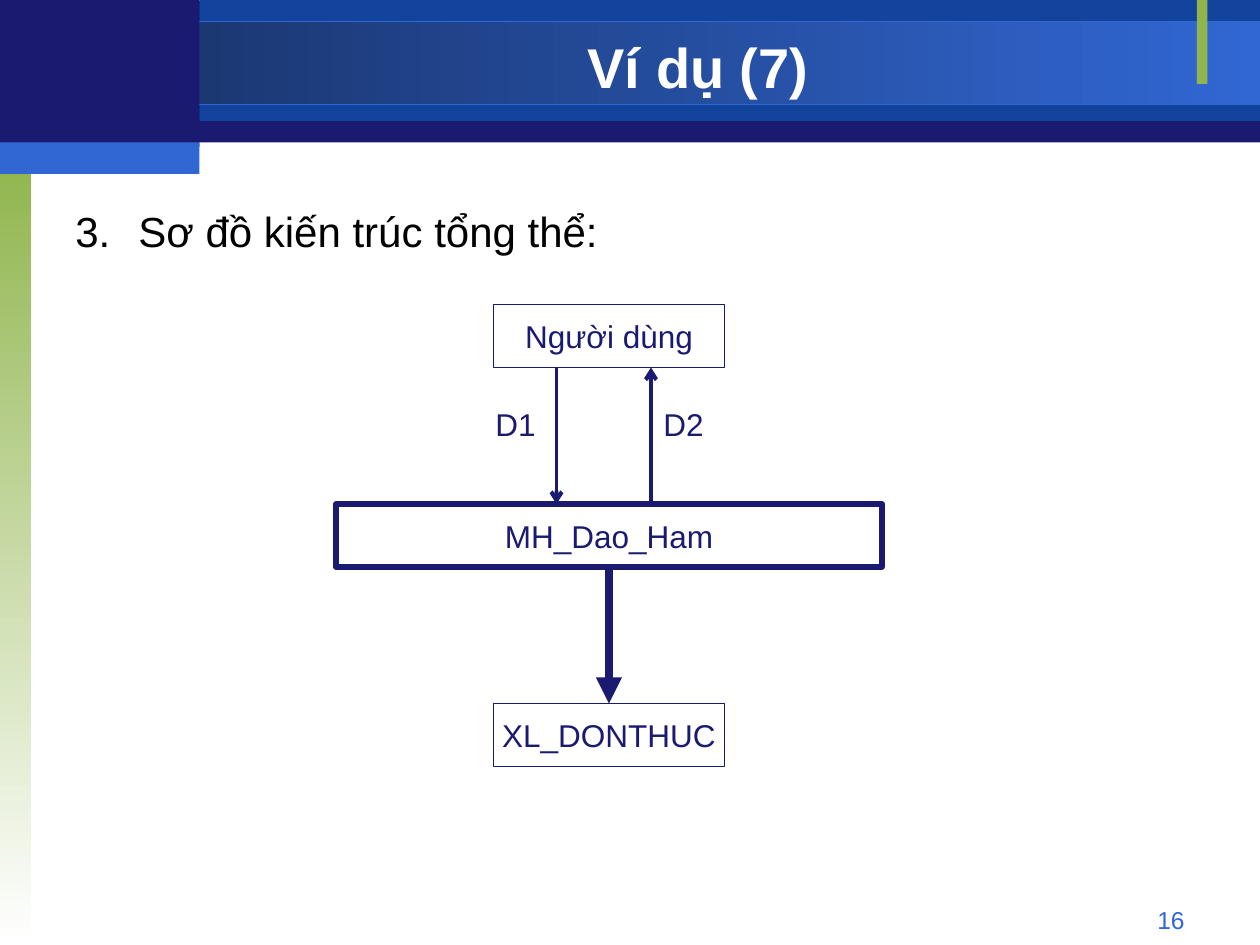
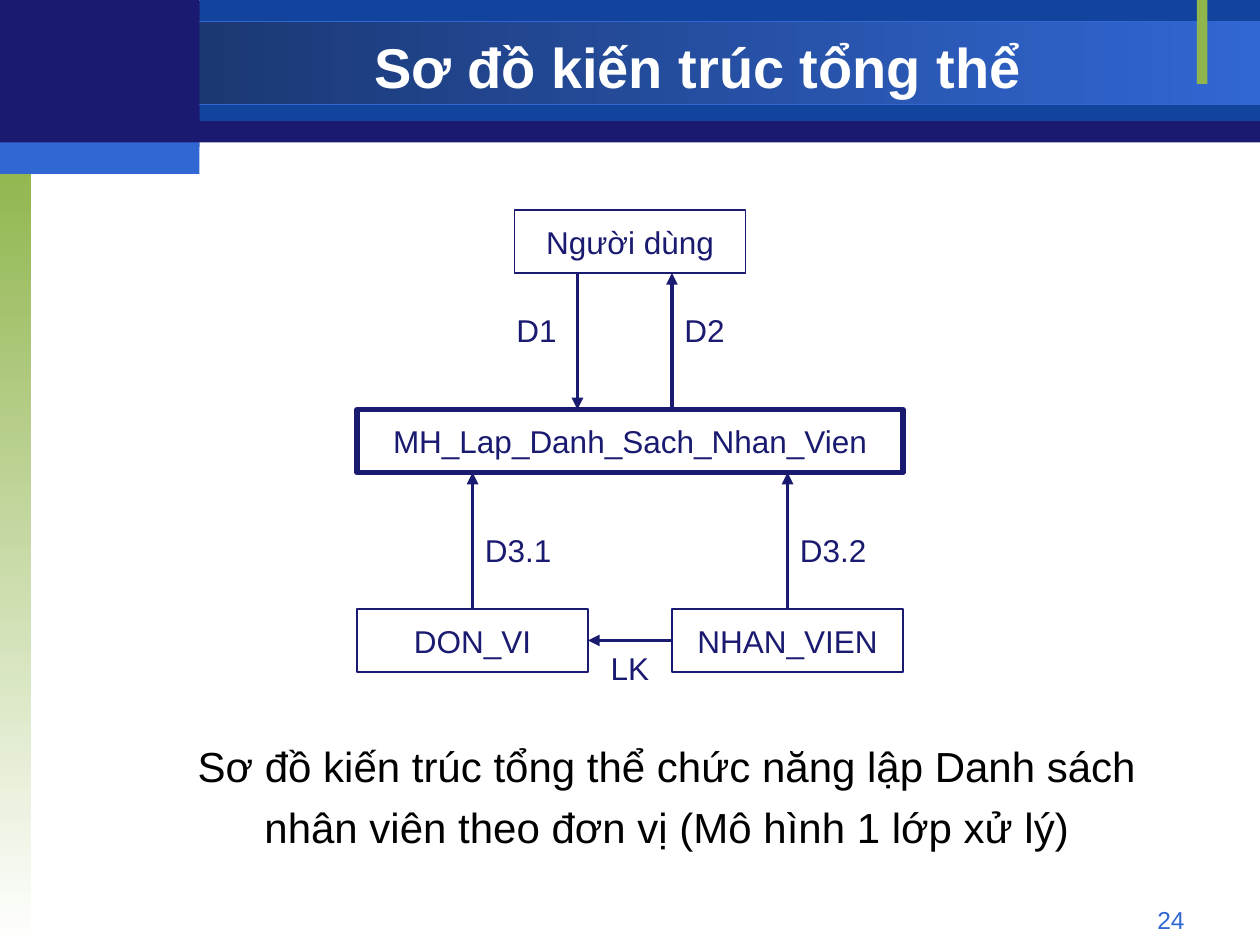
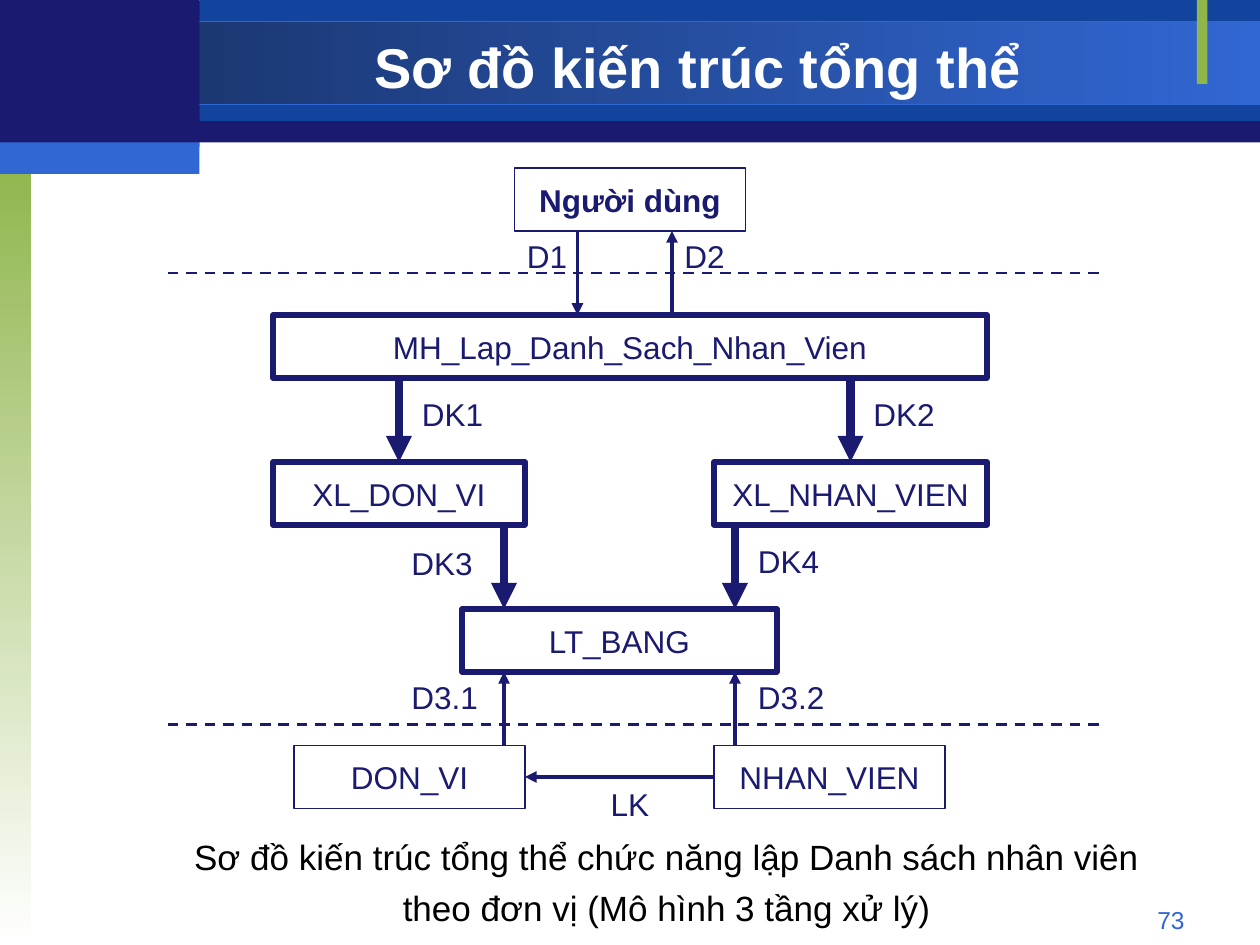
from dataclasses import dataclass

from lxml import etree
from pptx import Presentation
from pptx.dml.color import RGBColor
from pptx.enum.dml import MSO_LINE
from pptx.enum.shapes import MSO_CONNECTOR, MSO_SHAPE
from pptx.enum.text import MSO_ANCHOR, PP_ALIGN
from pptx.oxml.ns import qn
from pptx.util import Inches, Pt

LEFT, CENTER, RIGHT, JUSTIFY = PP_ALIGN.LEFT, PP_ALIGN.CENTER, PP_ALIGN.RIGHT, PP_ALIGN.JUSTIFY
MIDDLE = MSO_ANCHOR.MIDDLE
RECTANGLE = MSO_SHAPE.RECTANGLE
STRAIGHT = MSO_CONNECTOR.STRAIGHT
DASH = MSO_LINE.DASH

# Shared style; the slide is a grid of 120 columns by 90 rows
COLUMNS, ROWS = 120, 90
WIDTH, HEIGHT = Inches(10), Inches(7.5)
FONT = "Arial"
NAVY, DEEP_BLUE, BLUE, SHADE = "1A1A70", "12449E", "3167D3", "172F61"
GREEN, WHITE, BLACK = "90B54D", "FFFFFF", "000000"
THIN, FLOW, THICK, CALL = 0.75, 2.25, 3, 5
BOX_ROWS, LABEL_ROWS = 6, 4.8
TITLE_AREA = (19, 2.8, 95, 7)
NUMBER_AREA = (86, 85.6, 28, 3.2)


@dataclass(frozen=True)
class Band:
    area: tuple[float, float, float, float]
    color: str
    fade_to: str | None = None
    angle: int = 0
    edge: str | None = None


@dataclass(frozen=True)
class Box:
    text: str
    col: int
    row: int
    cols: int = 22
    border: float = THIN
    bold: bool = False

    def side_middles(self) -> list[tuple[float, float]]:
        """Middles of the sides, in the order of the connection sites."""
        x, y = self.col + self.cols / 2, self.row + BOX_ROWS / 2
        return [(x, self.row), (self.col, y),
                (x, self.row + BOX_ROWS), (self.col + self.cols, y)]


@dataclass(frozen=True)
class Line:
    start: tuple[int, int]
    end: tuple[int, int]
    weight: float = FLOW
    head: str | None = "triangle"


@dataclass(frozen=True)
class Label:
    text: str
    col: float
    row: float
    cols: float = 10
    align: PP_ALIGN = LEFT


@dataclass(frozen=True)
class Caption:
    text: str
    row: float
    rows: float
    size: int


@dataclass(frozen=True)
class Diagram:
    title: str
    number: str
    boxes: list[Box]
    lines: list[Line]
    labels: list[Label]
    caption: Caption | None = None


BANDS = [
    Band((0, 0.12, 120, 13.44), NAVY),
    Band((19, 0, 101, 11.52), DEEP_BLUE),
    Band((0, 2.04, 120, 7.92), SHADE, BLUE, edge=BLUE),
    Band((0, 15, 3, 75), GREEN, WHITE, angle=270),
    Band((114, 0, 1, 8), GREEN),
    Band((0, 0, 19, 14), NAVY),
    Band((0, 13.56, 19, 3), BLUE),
]

OVERVIEW = "Sơ đồ kiến trúc tổng thể"
STAFF_LIST = OVERVIEW + " chức năng lập Danh sách nhân viên theo đơn vị "

DIAGRAMS = [
    Diagram(
        "Ví dụ (7)", "16",
        [Box("Người dùng", 47, 29),
         Box("MH_Dao_Ham", 32, 48, 52, THICK),
         Box("XL_DONTHUC", 47, 67)],
        [Line((58, 54), (58, 67), CALL),
         Line((53, 35), (53, 48), head="arrow"),
         Line((62, 48), (62, 35), head="arrow")],
        [Label("D1", 46, 38, 7), Label("D2", 62, 38, 7)],
    ),
    Diagram(
        OVERVIEW, "24",
        [Box("Người dùng", 49, 20),
         Box("MH_Lap_Danh_Sach_Nhan_Vien", 34, 39, 52, THICK),
         Box("DON_VI", 34, 58),
         Box("NHAN_VIEN", 64, 58)],
        [Line((55, 26), (55, 39)),
         Line((64, 39), (64, 26)),
         Line((45, 58), (45, 45)),
         Line((75, 58), (75, 45)),
         Line((64, 61), (56, 61))],
        [Label("D1", 48, 29, 7), Label("D2", 64, 29, 7),
         Label("D3.1", 45, 50), Label("D3.2", 75, 50),
         Label("LK", 56, 61.2, 8, CENTER)],
        Caption(STAFF_LIST + "(Mô hình 1 lớp xử lý)", 69, 12.8, 24),
    ),
    Diagram(
        OVERVIEW, "73",
        [Box("Người dùng", 49, 16, bold=True),
         Box("MH_Lap_Danh_Sach_Nhan_Vien", 26, 30, 68, THICK),
         Box("XL_DON_VI", 26, 44, 24, THICK),
         Box("XL_NHAN_VIEN", 68, 44, 26, THICK),
         Box("LT_BANG", 44, 58, 30, THICK),
         Box("DON_VI", 28, 71),
         Box("NHAN_VIEN", 68, 71)],
        [Line((55, 22), (55, 30)),
         Line((64, 30), (64, 22)),
         Line((38, 36), (38, 44), CALL),
         Line((81, 36), (81, 44), CALL),
         Line((48, 50), (48, 58), CALL),
         Line((70, 50), (70, 58), CALL),
         Line((48, 71), (48, 64)),
         Line((70, 71), (70, 64)),
         Line((68, 74), (50, 74)),
         Line((16, 26), (105, 26), 1.5, None),
         Line((16, 69), (105, 69), 1.5, None)],
        [Label("D1", 49, 22, 7), Label("D2", 64, 22, 7),
         Label("DK1", 39, 37), Label("DK2", 82, 37),
         Label("DK3", 38, 51.2), Label("DK4", 71, 51),
         Label("D3.1", 38, 64), Label("D3.2", 71, 64),
         Label("LK", 56, 74.2, 8, CENTER)],
        Caption(STAFF_LIST + "(Mô hình 3 tầng xử lý)", 78.2, 10.8, 20),
    ),
]


def rgb(color: str) -> RGBColor:
    return RGBColor.from_string(color)


def place(col: float, row: float, *span: float) -> list[int]:
    """Grid position, with an optional span in columns and rows, in EMU."""
    units = (WIDTH / COLUMNS, HEIGHT / ROWS) * 2
    return [round(value * unit) for value, unit in zip((col, row, *span), units)]


def write(frame, text: str, size: float, color: str, align: PP_ALIGN = LEFT,
          bold: bool = False, spacing: float = 1.0):
    paragraph = frame.paragraphs[0]
    paragraph.text = text
    paragraph.alignment = align
    paragraph.line_spacing = spacing
    font = paragraph.font
    font.name, font.size, font.bold = FONT, Pt(size), bold
    font.color.rgb = rgb(color)
    return paragraph


def add_text(slide, area: tuple, text: str, size: float, color: str,
             align: PP_ALIGN = LEFT, spacing: float = 1.0):
    frame = slide.shapes.add_textbox(*place(*area)).text_frame
    frame.word_wrap = True
    return write(frame, text, size, color, align, spacing=spacing)


def add_band(slide, band: Band):
    shape = slide.shapes.add_shape(RECTANGLE, *place(*band.area))
    shape.shadow.inherit = False
    if band.fade_to:
        shape.fill.gradient()
        shape.fill.gradient_angle = band.angle
        for stop, color in zip(shape.fill.gradient_stops, (band.color, band.fade_to)):
            stop.color.rgb = rgb(color)
    else:
        shape.fill.solid()
        shape.fill.fore_color.rgb = rgb(band.color)
    if band.edge:
        shape.line.color.rgb = rgb(band.edge)
        shape.line.width = Pt(THIN)
    else:
        shape.line.fill.background()
    return shape


def move_bands_to_layout(slide) -> None:
    """Put the bands behind the placeholders of the shared layout."""
    tree = slide.slide_layout.shapes.element
    for position, band in enumerate(BANDS, start=2):
        tree.insert(position, add_band(slide, band).element)


def add_title(slide, text: str) -> None:
    title = slide.shapes.title
    title.left, title.top, title.width, title.height = place(*TITLE_AREA)
    title.text_frame.vertical_anchor = MIDDLE
    write(title.text_frame, text, 32, WHITE, CENTER, bold=True)


def add_box(slide, box: Box):
    shape = slide.shapes.add_shape(
        RECTANGLE, *place(box.col, box.row, box.cols, BOX_ROWS))
    shape.shadow.inherit = False
    shape.fill.background()
    shape.line.color.rgb = rgb(NAVY)
    shape.line.width = Pt(box.border)
    shape.text_frame.word_wrap = False
    shape.text_frame.vertical_anchor = MIDDLE
    write(shape.text_frame, box.text, 18, NAVY, CENTER, box.bold)
    return shape


def add_line(slide, line: Line, drawn: list) -> None:
    connector = slide.shapes.add_connector(
        STRAIGHT, *place(*line.start), *place(*line.end))
    connector.line.color.rgb = rgb(NAVY)
    connector.line.width = Pt(line.weight)
    if line.head:
        etree.SubElement(connector.get_or_add_ln(), qn("a:tailEnd"), type=line.head)
    else:
        connector.line.dash_style = DASH
    etree.SubElement(connector.element.spPr, qn("a:effectLst"))
    # Join the ends that meet the middle of a box side
    for box, shape in drawn:
        for site, middle in enumerate(box.side_middles()):
            if middle == line.start:
                connector.begin_connect(shape, site)
            if middle == line.end:
                connector.end_connect(shape, site)


def add_numbered_item(slide, text: str, number: int) -> None:
    item = add_text(slide, (6, 18, 108, 65), text, 24, BLACK, JUSTIFY, 1.2)
    properties = item.font._element.getparent()
    indent = Inches(0.5)
    properties.set("marL", str(indent))
    properties.set("indent", str(-indent))
    numbering = etree.Element(qn("a:buAutoNum"), type="arabicPeriod", startAt=str(number))
    properties.find(qn("a:defRPr")).addprevious(numbering)


def add_diagram(slide, diagram: Diagram) -> None:
    add_title(slide, diagram.title)
    add_text(slide, NUMBER_AREA, diagram.number, 14, BLUE, RIGHT)
    drawn = [(box, add_box(slide, box)) for box in diagram.boxes]
    for line in diagram.lines:
        add_line(slide, line, drawn)
    for label in diagram.labels:
        area = (label.col, label.row, label.cols, LABEL_ROWS)
        add_text(slide, area, label.text, 18, NAVY, label.align)
    if diagram.caption:
        caption = diagram.caption
        add_text(slide, (17, caption.row, 93, caption.rows), caption.text,
                 caption.size, BLACK, CENTER, 1.2)


def main() -> None:
    prs = Presentation()
    prs.slide_width, prs.slide_height = WIDTH, HEIGHT
    title_only = prs.slide_layouts[5]
    slides = [prs.slides.add_slide(title_only) for _ in DIAGRAMS]
    move_bands_to_layout(slides[0])
    for slide, diagram in zip(slides, DIAGRAMS):
        add_diagram(slide, diagram)
    add_numbered_item(slides[0], OVERVIEW + ":", 3)
    prs.save("out.pptx")


if __name__ == "__main__":
    main()
